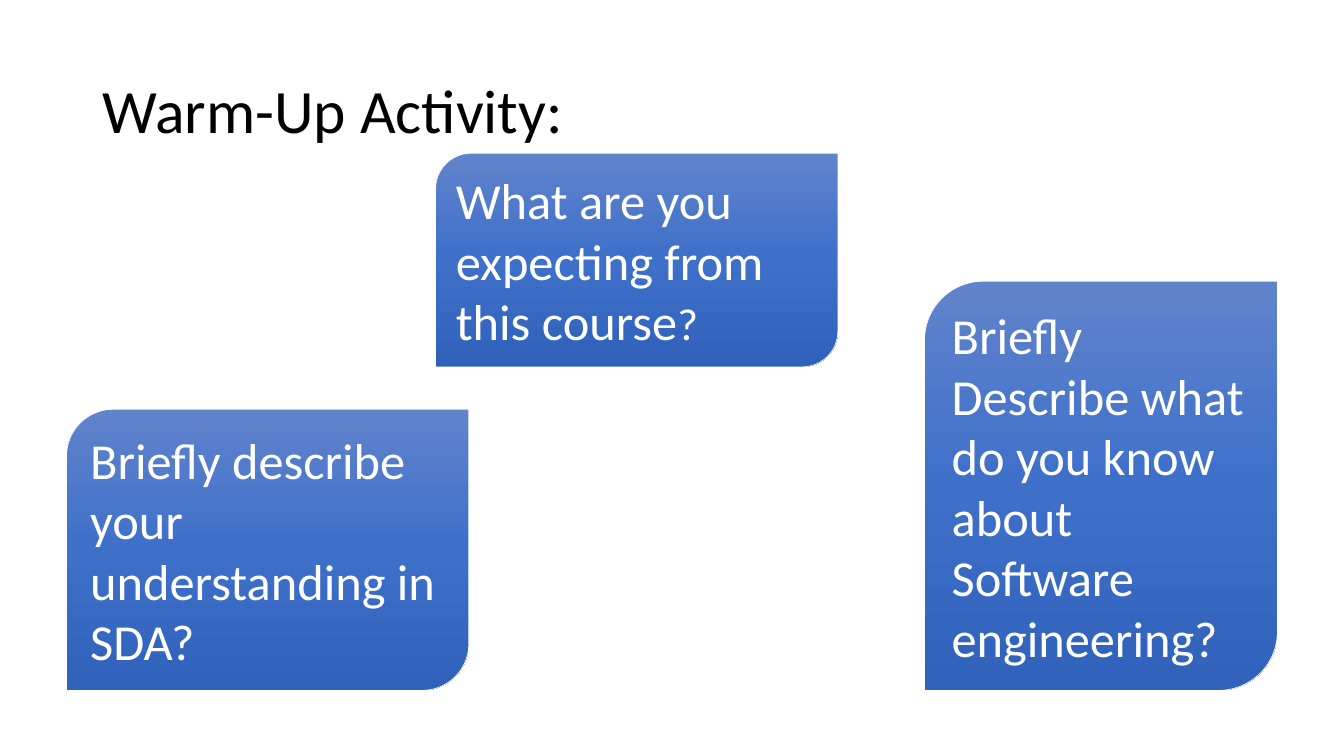
from copy import deepcopy

from pptx import Presentation
from pptx.dml.color import RGBColor
from pptx.enum.shapes import MSO_SHAPE as Shape
from pptx.enum.text import MSO_ANCHOR as Anchor, MSO_AUTO_SIZE as AutoSize, PP_ALIGN as Align
from pptx.oxml.ns import qn
from pptx.util import Inches, Pt


def color(value):
    return RGBColor.from_string(value)


def write(frame, *parts, font="Calibri", ink="000000", spacing=1.0):
    frame.word_wrap = True
    frame.vertical_anchor = Anchor.MIDDLE
    para = frame.paragraphs[0]
    para.alignment = Align.LEFT
    para.line_spacing = spacing
    for text, size in parts:
        span = para.add_run()
        span.text = text
        span.font.name = font
        span.font.size = Pt(size)
        span.font.color.rgb = color(ink)


class Board:
    font = "Calibri"
    title_ink = "000000"
    card_ink = "FFFFFF"
    border = "FFFFFF"
    gradient = ("6183CB", "3E70CA", "3062BB")

    def __init__(self, slide):
        self.slide = slide

    def title(self, text, *place):
        box = self.slide.shapes.add_textbox(*map(Inches, place))
        write(box.text_frame, (text, 44), font=self.font, ink=self.title_ink, spacing=0.9)

    def shade(self, fill):
        fill.gradient()
        fill.gradient_angle = 270

    def card(self, place, *parts):
        card = self.slide.shapes.add_shape(Shape.ROUND_2_DIAG_RECTANGLE, *map(Inches, place))
        card.shadow.inherit = False
        self.shade(card.fill)
        stop_list = card.element.spPr.find(qn("a:gradFill")).find(qn("a:gsLst"))
        stop_list.insert(1, deepcopy(stop_list[0]))
        for index, (stop, tone) in enumerate(zip(card.fill.gradient_stops, self.gradient)):
            stop.position = index / (len(self.gradient) - 1)
            stop.color.rgb = color(tone)
        card.line.color.rgb = color(self.border)
        card.line.width = Pt(0.5)
        write(card.text_frame, *parts, font=self.font, ink=self.card_ink)
        card.text_frame.auto_size = AutoSize.SHAPE_TO_FIT_TEXT


def main():
    deck = Presentation()
    deck.slide_width = Inches(13.33)
    deck.slide_height = Inches(7.5)
    page = deck.slides.add_slide(deck.slide_layouts[6])
    board = Board(page)
    board.title("Warm-Up Activity:", 0.92, 0.4, 11.5, 1.45)
    board.card((4.32, 1.52, 3.99, 2.12), ("What are you expecting from this course", 36), ("?", 32))
    board.card((0.66, 4.06, 3.99, 2.79), ("Briefly describe your understanding in SDA?", 36))
    board.card(
        (9.17, 2.79, 3.5, 4.06),
        ("Briefly Describe what do you know about Software engineering?", 36),
    )
    deck.save("out.pptx")


if __name__ == "__main__":
    main()
